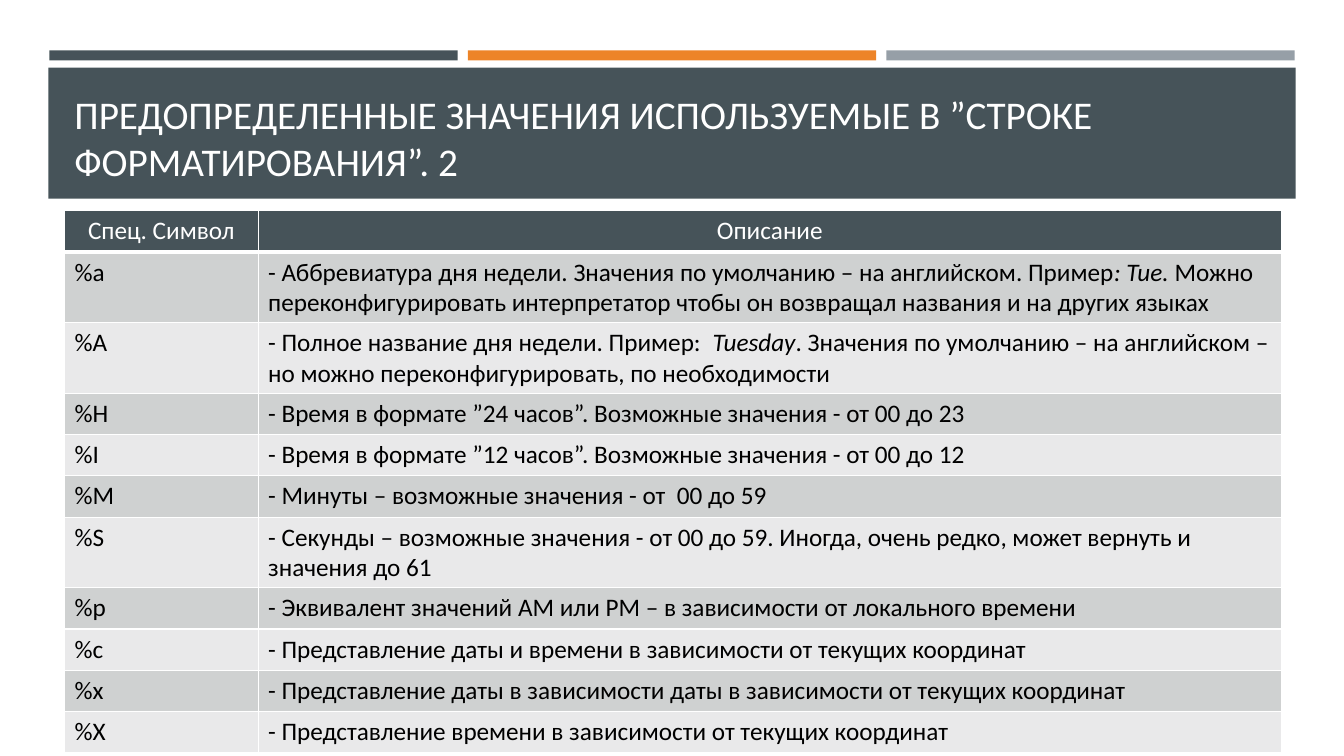
"""Build the slide with a table of date and time format codes."""
from lxml.etree import SubElement
from pptx import Presentation
from pptx.dml.color import RGBColor
from pptx.enum.shapes import MSO_SHAPE
from pptx.enum.text import MSO_ANCHOR, PP_ALIGN
from pptx.oxml.ns import qn
from pptx.util import Inches, Pt

TITLE = "ПРЕДОПРЕДЕЛЕННЫЕ ЗНАЧЕНИЯ ИСПОЛЬЗУЕМЫЕ В ”СТРОКЕ ФОРМАТИРОВАНИЯ”. 2"
ROWS = [
    ("Спец. Символ", "Описание"),
    ("%a", "- Аббревиатура дня недели. Значения по умолчанию – на английском. Пример*: Tue. *"
           "Можно переконфигурировать интерпретатор чтобы он возвращал названия и на других языках"),
    ("%A", "- Полное название дня недели. Пример:  *Tuesday*. Значения по умолчанию – "
           "на английском – но можно переконфигурировать, по необходимости"),
    ("%H", "- Время в формате ”24 часов”. Возможные значения - от 00 до 23"),
    ("%I", "- Время в формате ”12 часов”. Возможные значения - от 00 до 12"),
    ("%M", "- Минуты – возможные значения - от  00 до 59"),
    ("%S", "- Секунды – возможные значения - от 00 до 59. Иногда, очень редко, "
           "может вернуть и значения до 61"),
    ("%p", "- Эквивалент значений AM или PM – в зависимости от локального времени"),
    ("%c", "- Представление даты и времени в зависимости от текущих координат"),
    ("%x", "- Представление даты в зависимости даты в зависимости от текущих координат"),
    ("%X", "- Представление времени в зависимости от текущих координат"),
]
WHITE = RGBColor(255, 255, 255)
BLACK = RGBColor(0, 0, 0)
SLATE = RGBColor(0x46, 0x53, 0x59)
ORANGE = RGBColor(0xED, 0x84, 0x28)
GREY = RGBColor(0x96, 0x9F, 0xA7)
BANDS = RGBColor(0xE9, 0xE9, 0xEA), RGBColor(0xCF, 0xD1, 0xD1)
FONT = "Calibri"
BARS = SLATE, ORANGE, GREY
EDGE, BAR, STEP = 0.49, 4.05, 4.15
LEFT, WIDTH = 0.64, 12.06
COLS = 1.92, 10.15
HIGH = 0.41


def add_box(slide, color, *place):
    box = slide.shapes.add_shape(MSO_SHAPE.RECTANGLE, *map(Inches, place))
    box.shadow.inherit = False
    box.fill.solid()
    box.fill.fore_color.rgb = color
    box.line.fill.background()


def set_font(para, size, color):
    font = para.font
    font.name, font.size, font.bold = FONT, Pt(size), False
    font.color.rgb = color


def add_edges(cell, head):
    props = cell._tc.get_or_add_tcPr()
    for spot, side in enumerate("LRTB"):
        width = Pt(3 if head and side == "B" else 1)
        line = SubElement(props, qn(f"a:ln{side}"), w=str(width))
        fill = SubElement(line, qn("a:solidFill"))
        SubElement(fill, qn("a:srgbClr"), val=str(WHITE))
        props.insert(spot, line)


def fill_cell(cell, text, row):
    head = row == 0
    cell.fill.solid()
    cell.fill.fore_color.rgb = SLATE if head else BANDS[row % 2]
    add_edges(cell, head)
    para = cell.text_frame.paragraphs[0]
    para.alignment = PP_ALIGN.CENTER if head else PP_ALIGN.LEFT
    set_font(para, 18, WHITE if head else BLACK)
    for part, words in enumerate(text.split("*")):
        run = para.add_run()
        run.text = words
        if part % 2:
            run.font.italic = True


def add_title(slide):
    box = slide.shapes.add_textbox(*map(Inches, (LEFT, 0.77, WIDTH, 1.11)))
    frame = box.text_frame
    frame.word_wrap = True
    frame.vertical_anchor = MSO_ANCHOR.BOTTOM
    frame.text = TITLE
    set_font(frame.paragraphs[0], 28, WHITE)


def add_codes(slide):
    place = LEFT, 2.09, sum(COLS), HIGH * len(ROWS)
    table = slide.shapes.add_table(len(ROWS), len(COLS), *map(Inches, place)).table
    for col, width in zip(table.columns, COLS):
        col.width = Inches(width)
    for row, texts in enumerate(ROWS):
        table.rows[row].height = Inches(HIGH)
        for col, text in enumerate(texts):
            fill_cell(table.cell(row, col), text, row)


def main():
    deck = Presentation()
    deck.slide_width, deck.slide_height = Inches(13.33), Inches(7.5)
    slide = deck.slides.add_slide(deck.slide_layouts[6])
    for spot, color in enumerate(BARS):
        add_box(slide, color, EDGE + spot * STEP, 0.5, BAR, 0.1)
    add_box(slide, SLATE, 0.48, 0.67, 12.37, 1.3)
    add_title(slide)
    add_codes(slide)
    deck.save("out.pptx")


if __name__ == "__main__":
    main()
